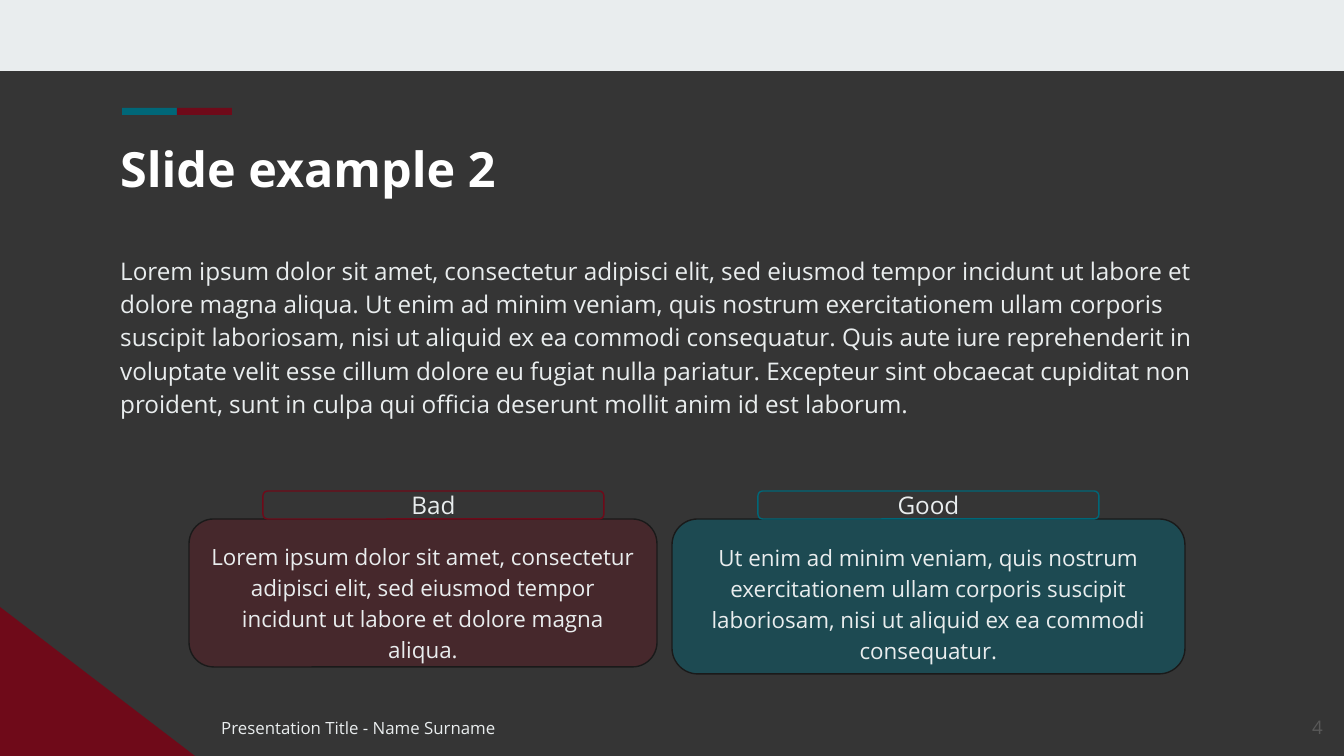
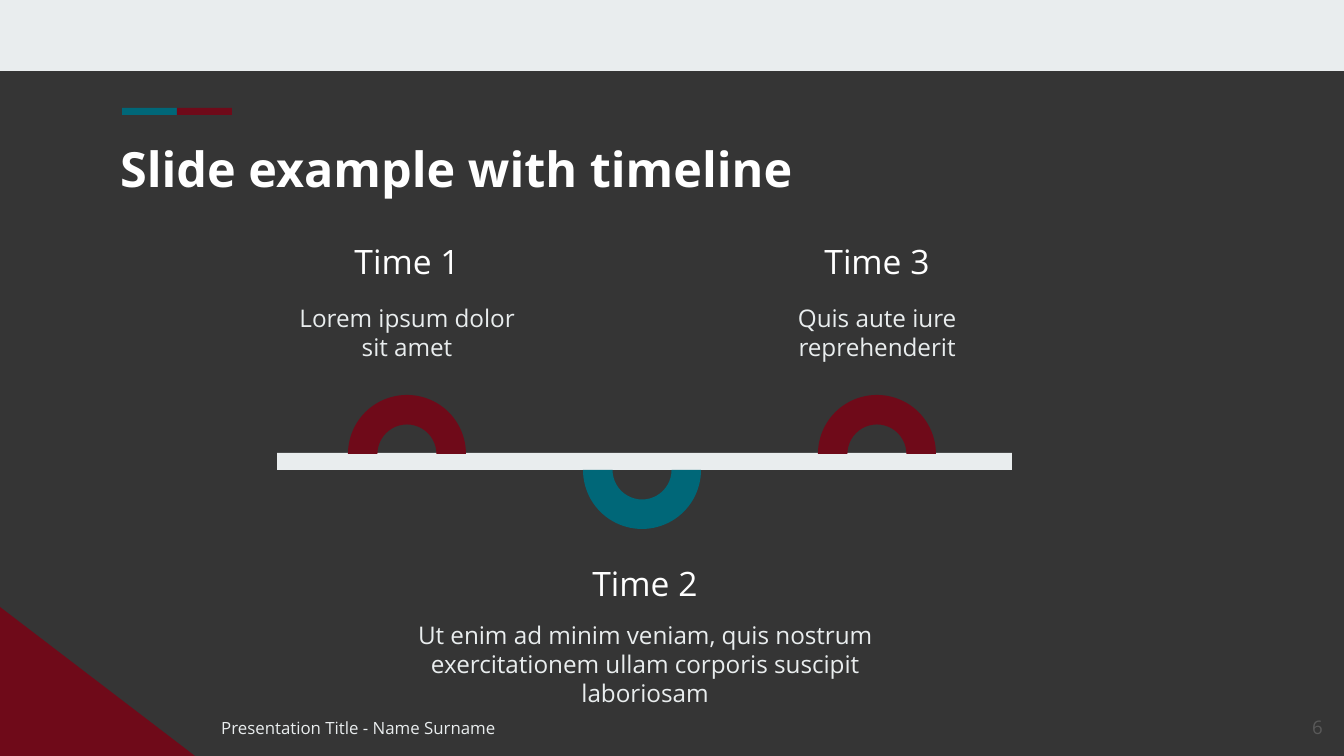
from lxml import etree
from pptx import Presentation
from pptx.dml.color import RGBColor
from pptx.enum import shapes, text
from pptx.oxml import ns
from pptx.util import Pt

PX = 914400 / 134.4
FONT = "Open Sans"
DARK = RGBColor(0x35, 0x35, 0x35)
PALE = RGBColor(0xE9, 0xED, 0xEE)
WHITE = RGBColor(0xFF, 0xFF, 0xFF)
RED = RGBColor(0x6F, 0x0A, 0x19)
TEAL = RGBColor(0x00, 0x67, 0x78)
OUTLINE = RGBColor(0x1A, 0x1A, 0x1A)
GREY = RGBColor(0x59, 0x59, 0x59)

SHAPE = shapes.MSO_SHAPE
LEFT, CENTER, RIGHT = text.PP_ALIGN.LEFT, text.PP_ALIGN.CENTER, text.PP_ALIGN.RIGHT
TOP, MIDDLE = text.MSO_ANCHOR.TOP, text.MSO_ANCHOR.MIDDLE

TITLE = {"size": Pt(26), "bold": True, "color": WHITE}
HEADING = {"size": Pt(18), "color": WHITE}
BODY = {"size": Pt(13), "color": PALE}
CARD = {"size": Pt(12), "color": PALE}
FOOTER = {"size": Pt(9), "color": PALE}
NUMBER = {"size": Pt(10), "color": GREY}
SPACED = {"line_spacing": 1.15, "space_after": Pt(16)}


def add_block(slide, kind, box, fill, line=None, opacity=None):
    """Add a preset shape at a pixel box, with optional outline and opacity in percent."""
    block = slide.shapes.add_shape(kind, *[round(v * PX) for v in box])
    block.shadow.inherit = False
    block.fill.solid()
    block.fill.fore_color.rgb = fill
    if opacity is not None:
        color = block.fill._xPr.find(".//" + ns.qn("a:srgbClr"))
        etree.SubElement(color, ns.qn("a:alpha")).set("val", str(opacity * 1000))
    if line is None:
        block.line.fill.background()
    else:
        block.line.color.rgb = line
        block.line.width = Pt(0.75)
    return block


def write(slide, words, style, box=None, align=LEFT, anchor=TOP, spacing=None, holder=None):
    """Write one paragraph into a holder shape, or into a new text box at a pixel box."""
    if holder is None:
        holder = slide.shapes.add_textbox(*[round(v * PX) for v in box])
    frame = holder.text_frame
    frame.word_wrap = True
    frame.vertical_anchor = anchor
    for side in ("left", "right", "top", "bottom"):
        setattr(frame, "margin_" + side, 91440)
    paragraph = frame.paragraphs[0]
    for name, value in {"alignment": align, **(spacing or {})}.items():
        setattr(paragraph, name, value)
    run = paragraph.add_run()
    run.text = words
    run.font.name = FONT
    for name, value in style.items():
        if name == "color":
            run.font.color.rgb = value
        else:
            setattr(run.font, name, value)


deck = Presentation()
deck.slide_width, deck.slide_height = round(1344 * PX), round(756 * PX)

# Shared frame of both slides
pages = []
for title, number in (("Slide example 2", "4"), ("Slide example with timeline", "6")):
    slide = deck.slides.add_slide(deck.slide_layouts[6])
    slide.background.fill.solid()
    slide.background.fill.fore_color.rgb = DARK
    add_block(slide, SHAPE.RECTANGLE, (0, 0, 1344, 71), PALE)
    add_block(slide, SHAPE.RIGHT_TRIANGLE, (0, 607, 195, 149), RED)
    for i, accent in enumerate((TEAL, RED)):
        add_block(slide, SHAPE.RECTANGLE, (122 + 55 * i, 108, 55, 7), accent)
    write(slide, title, TITLE, (107, 126, 1130, 79))
    write(slide, number, NUMBER, (1255, 698, 81, 58), RIGHT, MIDDLE)
    write(slide, "Presentation Title - Name Surname", FOOTER, (208, 703, 860, 50), spacing=SPACED)
    pages.append(slide)
comparison, timeline = pages

# Comparison: introduction and two labelled cards
write(comparison,
      "Lorem ipsum dolor sit amet, consectetur adipisci elit, sed eiusmod tempor incidunt ut "
      "labore et dolore magna aliqua. Ut enim ad minim veniam, quis nostrum exercitationem ullam "
      "corporis suscipit laboriosam, nisi ut aliquid ex ea commodi consequatur. Quis aute iure "
      "reprehenderit in voluptate velit esse cillum dolore eu fugiat nulla pariatur. Excepteur "
      "sint obcaecat cupiditat non proident, sunt in culpa qui officia deserunt mollit anim id "
      "est laborum.",
      BODY, (107, 238, 1154, 231), spacing=SPACED)

cards = (
    ("Bad", 263, RED, 30, (189, 519, 468, 148),
     "Lorem ipsum dolor sit amet, consectetur adipisci elit, sed eiusmod tempor incidunt ut "
     "labore et dolore magna aliqua."),
    ("Good", 758, TEAL, 44, (672, 519, 513, 155),
     "Ut enim ad minim veniam, quis nostrum exercitationem ullam corporis suscipit laboriosam, "
     "nisi ut aliquid ex ea commodi consequatur."),
)
for label, label_left, color, opacity, box, words in cards:
    card = add_block(comparison, SHAPE.ROUNDED_RECTANGLE, box, color, OUTLINE, opacity)
    write(comparison, words, CARD, align=CENTER, spacing=SPACED, holder=card)
    tag = add_block(comparison, SHAPE.ROUNDED_RECTANGLE, (label_left, 491, 341, 28), DARK, color)
    write(comparison, label, BODY, align=CENTER, anchor=MIDDLE, holder=tag)

# Timeline: a bar with arcs alternating above and below it
BAR_TOP, BAR_HEIGHT, ARC = 453, 17, 118
add_block(timeline, SHAPE.RECTANGLE, (277, BAR_TOP, 735, BAR_HEIGHT), PALE)
events = (
    ("Time 1", "Lorem ipsum dolor sit amet", 407, 270),
    ("Time 2", "Ut enim ad minim veniam, quis nostrum exercitationem ullam corporis suscipit "
               "laboriosam", 645, 538),
    ("Time 3", "Quis aute iure reprehenderit", 877, 270),
)
for i, (heading, words, center, width) in enumerate(events):
    below = i % 2 == 1
    axis = BAR_TOP + BAR_HEIGHT if below else BAR_TOP + 1
    arc = add_block(timeline, SHAPE.BLOCK_ARC, (348 + 235 * i, axis - ARC / 2, ARC, ARC),
                    TEAL if below else RED)
    arc.rotation = 180 if below else 0
    heading_top, words_top = (550, 607) if below else (228, 290)
    write(timeline, heading, HEADING, (center - 195, heading_top, 390, 58), CENTER)
    write(timeline, words, BODY, (center - width / 2, words_top, width, 85), CENTER)

deck.save("out.pptx")
